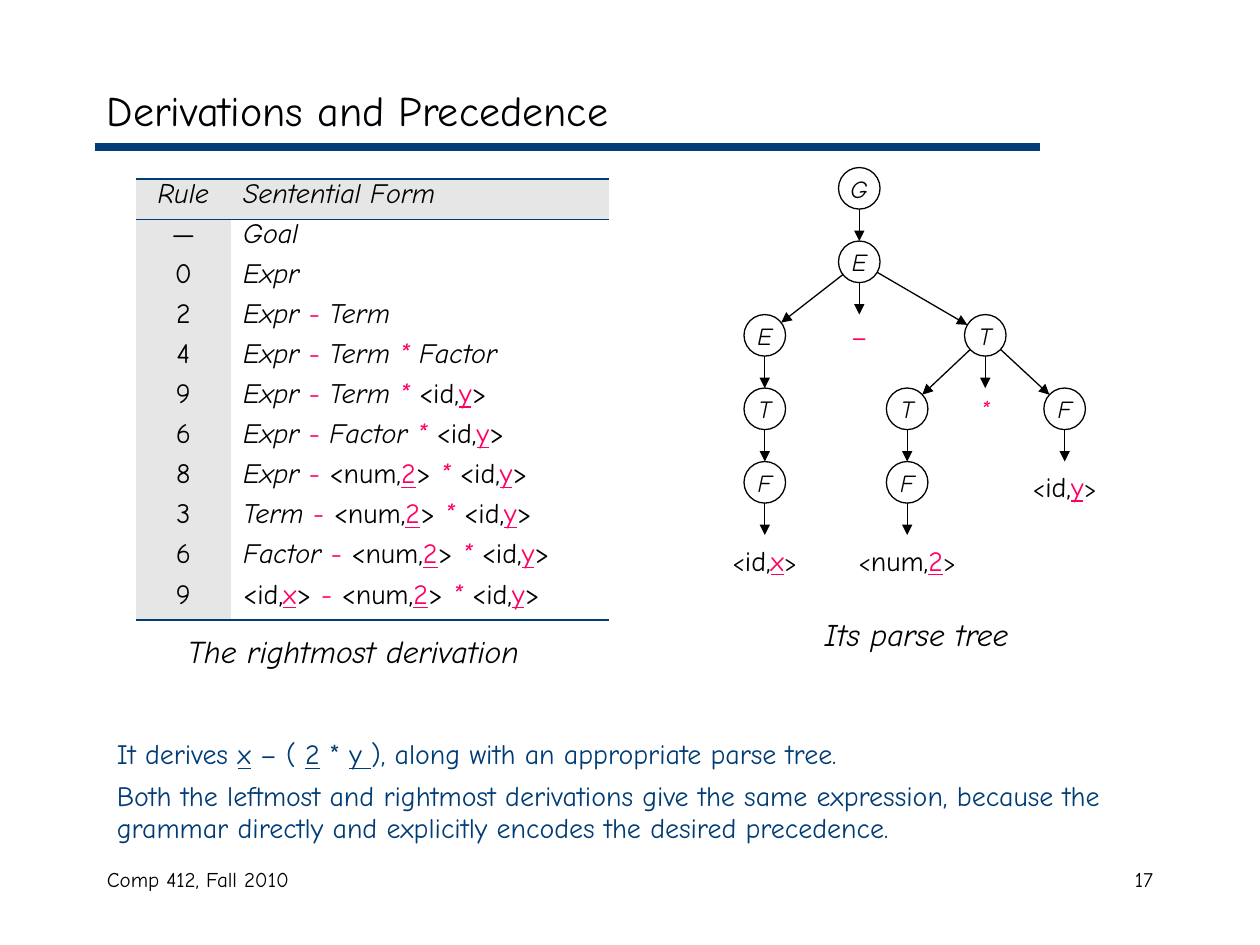
import math

from lxml import etree
from pptx import Presentation
from pptx.dml.color import RGBColor
from pptx.enum.shapes import MSO_CONNECTOR, MSO_SHAPE
from pptx.enum.text import MSO_ANCHOR, PP_ALIGN
from pptx.oxml.ns import qn
from pptx.util import Inches, Pt

STRAIGHT = MSO_CONNECTOR.STRAIGHT
OVAL = MSO_SHAPE.OVAL
LEFT, CENTER, RIGHT = PP_ALIGN.LEFT, PP_ALIGN.CENTER, PP_ALIGN.RIGHT
TOP, MIDDLE = MSO_ANCHOR.TOP, MSO_ANCHOR.MIDDLE

FONT = "Comic Neue"
COLORS = {"navy": "003C75", "pink": "FF0065", "black": "000000",
          "gray": "E6E6E6", "white": "FFFFFF"}

DERIVATION = [
    ("—", "Goal"),
    ("0", "Expr"),
    ("2", "Expr - Term"),
    ("4", "Expr - Term * Factor"),
    ("9", "Expr - Term * <id,y>"),
    ("6", "Expr - Factor * <id,y>"),
    ("8", "Expr - <num,2> * <id,y>"),
    ("3", "Term - <num,2> * <id,y>"),
    ("6", "Factor - <num,2> * <id,y>"),
    ("9", "<id,x> - <num,2> * <id,y>"),
]

# Each node: label, centre across the tree's box in inches, children
PARSE_TREE = ("G", 1.15, [("E", 1.15, [
    ("E", 0.4, [("T", 0.4, [("F", 0.4, [("<id,x>", 0.4, [])])])]),
    ("–", 1.15, []),
    ("T", 2.15, [
        ("T", 1.53, [("F", 1.53, [("<num,2>", 1.53, [])])]),
        ("*", 2.15, []),
        ("F", 2.78, [("<id,y>", 2.78, [])]),
    ]),
])])
RADIUS = Inches(0.165)
LEVEL_GAP = Inches(1.75) / 3


def rgb(name):
    return RGBColor.from_string(COLORS[name])


def style(para, size, color="black", italic=None, align=LEFT, before=0, spacing=None):
    para.font.name = FONT
    para.font.size = Pt(size)
    para.font.color.rgb = rgb(color)
    para.font.italic = italic
    para.alignment = align
    para.space_before = Pt(before)
    if spacing:
        para.line_spacing = spacing


def add_span(para, text, color=None, italic=None, underline=None, size=None):
    span = para.add_run()
    span.text = text
    span.font.italic = italic
    span.font.underline = underline
    if color:
        span.font.color.rgb = rgb(color)
    if size:
        span.font.size = Pt(size)


def add_token(para, token, end="", bracket_size=None):
    """Write <kind,lexeme> with its lexeme underlined in pink."""
    kind, lexeme = token.strip("<>").split(",")
    add_span(para, "<", size=bracket_size)
    add_span(para, kind + ",")
    add_span(para, lexeme, "pink", underline=True)
    add_span(para, ">" + end, size=bracket_size)


def add_box(page, left, top, width, height, anchor=TOP):
    frame = page.shapes.add_textbox(left, top, width, height).text_frame
    frame.word_wrap = True
    frame.vertical_anchor = anchor
    return frame


def add_label(page, box, text, size, anchor=TOP, **look):
    para = add_box(page, *box, anchor).paragraphs[0]
    para.text = text
    style(para, size, **look)


def add_line(page, start, end, color, width, arrow=False):
    line = page.shapes.add_connector(STRAIGHT, *(round(v) for v in (*start, *end)))
    line.line.color.rgb = rgb(color)
    line.line.width = Pt(width)
    if arrow:
        etree.SubElement(line.line._get_or_add_ln(), qn("a:tailEnd"), type="triangle")
    etree.SubElement(line._element.spPr, qn("a:effectLst"))


def set_borders(cell, top=None, bottom=None):
    """Draw navy rules of the given widths and hide the other edges."""
    props = cell._tc.get_or_add_tcPr()
    edges = [("lnL", None), ("lnR", None), ("lnT", top), ("lnB", bottom)]
    for index, (tag, width) in enumerate(edges):
        edge = etree.Element(qn("a:" + tag), w=str(Pt(width or 0)))
        if width:
            fill = etree.SubElement(edge, qn("a:solidFill"))
            etree.SubElement(fill, qn("a:srgbClr"), val=COLORS["navy"])
        else:
            etree.SubElement(edge, qn("a:noFill"))
        props.insert(index, edge)


def add_header(page, left, top, width):
    add_label(page, (left, top, width, Inches(0.58)), "Derivations and Precedence",
              24, MIDDLE, before=9)
    rule_y = top + Inches(0.59)
    add_line(page, (left, rule_y), (left + Inches(7.5), rule_y), "navy", 4.5)


def write_form(para, form):
    """Write a sentential form: symbols, operators and tokens."""
    words = form.split()
    for index, word in enumerate(words):
        end = " " if index < len(words) - 1 else ""
        if word.startswith("<"):
            add_token(para, word, end)
        else:
            add_span(para, word + end, "pink" if word in "-*" else None, italic=True)


def add_derivation(page, left, top, width, height):
    rows = [("Rule", "Sentential Form")] + DERIVATION
    last = len(rows) - 1
    table = page.shapes.add_table(len(rows), 2, left, top, width, height).table
    table.first_row = table.horz_banding = False
    table.columns[0].width = Inches(0.75)
    table.columns[1].width = width - Inches(0.75)
    for r, texts in enumerate(rows):
        for c, text in enumerate(texts):
            cell = table.cell(r, c)
            cell.fill.solid()
            cell.fill.fore_color.rgb = rgb("gray" if r == 0 or c == 0 else "white")
            set_borders(cell, top={0: 1.08, 1: 0.45}.get(r),
                        bottom={0: 0.45, last: 1.08}.get(r))
            para = cell.text_frame.paragraphs[0]
            style(para, 16, align=LEFT if c else CENTER, before=4, spacing=0.7)
            if r and c:
                write_form(para, text)
            else:
                add_span(para, text, italic=r == 0)
    add_label(page, (left + Inches(0.14), top + Inches(3.55), Inches(3.17), Inches(0.4)),
              "The rightmost derivation", 18, italic=True, align=CENTER, before=11.2)


def add_node(page, label, x, y):
    if label.startswith("<"):
        width = Inches(1.25)
        frame = add_box(page, x - width // 2, round(y - Inches(0.15)), width, Inches(0.37))
        para = frame.paragraphs[0]
        style(para, 16, align=CENTER, before=8.8)
        add_token(para, label, bracket_size=14)
        return
    operator = label in "–*"
    node = page.shapes.add_shape(OVAL, x - RADIUS, round(y - RADIUS), 2 * RADIUS, 2 * RADIUS)
    node.shadow.inherit = False
    node.fill.background()
    if operator:
        node.line.fill.background()
    else:
        node.line.color.rgb = rgb("black")
        node.line.width = Pt(0.75)
    frame = node.text_frame
    frame.word_wrap = False
    frame.vertical_anchor = MIDDLE
    para = frame.paragraphs[0]
    para.text = label
    style(para, 16 if label == "–" else 14, "pink" if operator else "black",
          italic=label != "–", align=CENTER)


def add_tree(page, left, top, node):
    """Place a node one radius below top, then its subtrees under it."""
    label, offset, children = node
    x, y = left + Inches(offset), top + RADIUS
    add_node(page, label, x, y)
    for child in children:
        dx = Inches(child[1]) - Inches(offset)
        length = math.hypot(dx, LEVEL_GAP)
        step_x, step_y = RADIUS * dx / length, RADIUS * LEVEL_GAP / length
        add_line(page, (x + step_x, y + step_y),
                 (x + dx - step_x, y + LEVEL_GAP - step_y), "black", 0.75, arrow=True)
        add_tree(page, left, top + LEVEL_GAP, child)


def add_parse_tree(page, left, top):
    add_tree(page, left, top, PARSE_TREE)
    add_label(page, (left + Inches(0.02), top + Inches(3.5), Inches(3.17), Inches(0.4)),
              "Its parse tree", 18, italic=True, align=CENTER, before=11.2)


def add_remarks(page, left, top, width, height):
    frame = add_box(page, left, top, width, height)
    para = frame.paragraphs[0]
    style(para, 16, "navy", before=10, spacing=0.9)
    pieces = ["It derives ", "x", " – ( ", "2", " * ", "y ",
              "), along with an appropriate parse tree."]
    for index, piece in enumerate(pieces):
        add_span(para, piece, underline=index % 2 == 1)
    para = frame.add_paragraph()
    para.text = ("Both the leftmost and rightmost derivations give the same expression, "
                 "because the grammar directly and explicitly encodes the desired precedence.")
    style(para, 16, "navy", before=6, spacing=0.95)


def add_footer(page, left, top, width, height):
    add_label(page, (left, top, Inches(3.17), height), "Comp 412, Fall 2010", 12)
    number_width = Inches(2.08)
    add_label(page, (left + width - number_width, top, number_width, height),
              "17", 12, align=RIGHT)


def main():
    deck = Presentation()
    deck.slide_width, deck.slide_height = Inches(10), Inches(7.5)
    page = deck.slides.add_slide(deck.slide_layouts[6])
    add_header(page, Inches(0.75), Inches(0.58), Inches(8.5))
    add_derivation(page, Inches(1.08), Inches(1.42), Inches(3.75), Inches(3.5))
    add_parse_tree(page, Inches(5.67), Inches(1.33))
    add_remarks(page, Inches(0.83), Inches(5.83), Inches(8.5), Inches(0.93))
    add_footer(page, Inches(0.75), Inches(6.83), Inches(8.5), Inches(0.5))
    deck.save("out.pptx")


if __name__ == "__main__":
    main()
